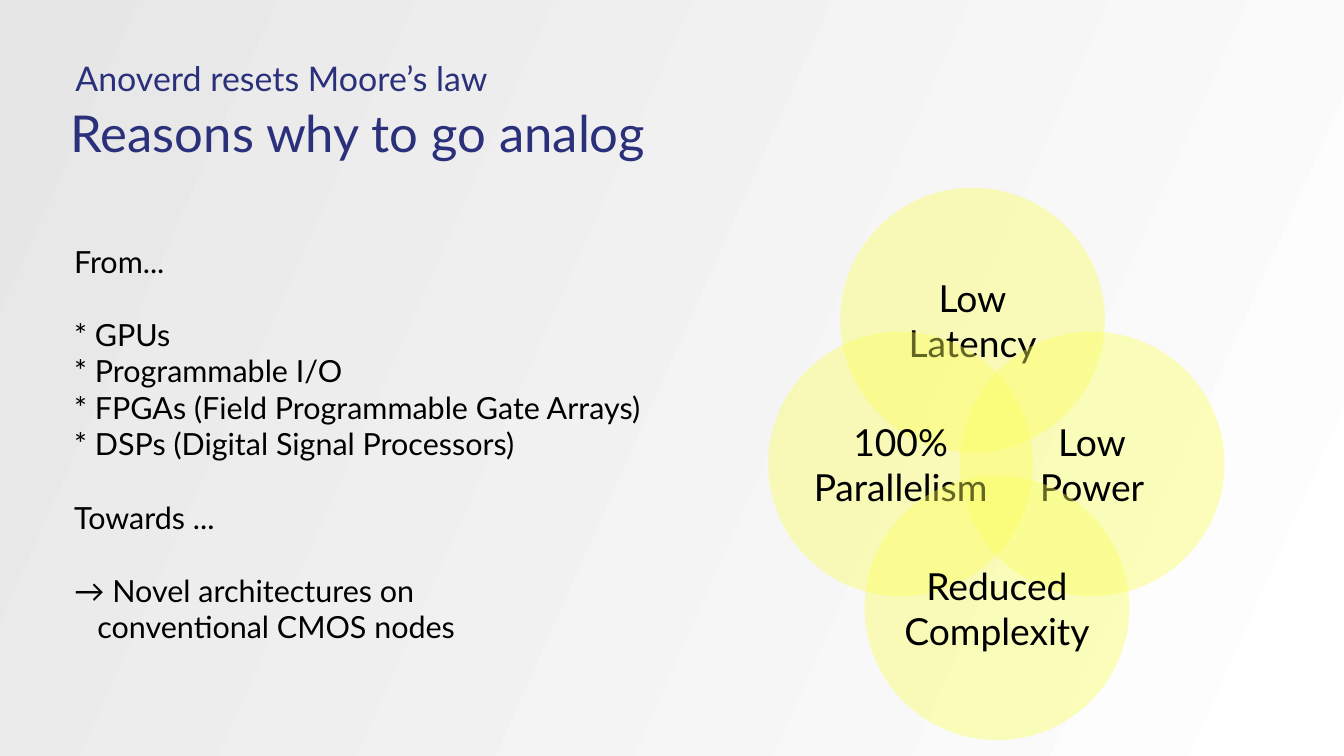
from lxml import etree
from pptx import Presentation
from pptx.dml.color import RGBColor
from pptx.enum.shapes import MSO_SHAPE
from pptx.enum.text import MSO_ANCHOR, PP_ALIGN
from pptx.oxml.ns import qn
from pptx.util import Inches, Pt

OVAL = MSO_SHAPE.OVAL
TOP, MIDDLE = MSO_ANCHOR.TOP, MSO_ANCHOR.MIDDLE
LEFT, CENTER = PP_ALIGN.LEFT, PP_ALIGN.CENTER

WIDTH, HEIGHT = 11.02, 6.2
FONT = "Lato"
NAVY, BLACK, YELLOW = "2B307B", "000000", "FCFF5A"
BACKGROUND = [("FFFFFF", 0.01), ("E6E6E6", 1)]

KICKER = "Anoverd resets Moore’s law"
TITLE = "Reasons why to go analog"
SECTIONS = [
    ["From..."],
    [
        "* GPUs",
        "* Programmable I/O",
        "* FPGAs (Field Programmable Gate Arrays)",
        "* DSPs (Digital Signal Processors)",
    ],
    ["Towards ..."],
    ["→ Novel architectures on", "conventional CMOS nodes"],
]
HANGING_LINE = "conventional CMOS nodes"
HANGING_INDENT = 0.19
SECTION_GAP = 21.6

DIAMETER = 2.17
VENN_LEFT, VENN_TOP, ROW_STEP = 6.3, 1.54, 1.18
CIRCLES = [
    (("Low", "Latency"), 0.59, 0),
    (("Low", "Power"), 1.57, 1),
    (("100%", "Parallelism"), 0, 1),
    (("Reduced", "Complexity"), 0.79, 2),
]


def color(value):
    return RGBColor.from_string(value)


def add_line(frame, text, size, ink, align=LEFT):
    para = frame.paragraphs[0]
    if para.runs:
        para = frame.add_paragraph()
    para.alignment = align
    span = para.add_run()
    span.text = text
    span.font.name = FONT
    span.font.size = Pt(size)
    span.font.color.rgb = color(ink)
    return para


def place(shape, left, top, width, height):
    shape.left, shape.top = Inches(left), Inches(top)
    shape.width, shape.height = Inches(width), Inches(height)


def add_box(page, left, top, width, height):
    box = page.shapes.add_textbox(*map(Inches, (left, top, width, height)))
    box.text_frame.word_wrap = True
    return box.text_frame


def paint_background(page):
    fill = page.background.fill
    fill.gradient()
    fill.gradient_angle = 156
    for stop, (tone, position) in zip(fill.gradient_stops, BACKGROUND):
        stop.color.rgb = color(tone)
        stop.position = position


def format_title(page):
    title = page.shapes.title
    place(title, 0.58, 0.64, 9.35, 0.56)
    frame = title.text_frame
    frame.margin_left = frame.margin_right = 0
    frame.margin_top = frame.margin_bottom = 0
    frame.vertical_anchor = TOP
    add_line(frame, TITLE, 30, NAVY).line_spacing = Pt(50)


def add_reasons(page):
    frame = add_box(page, 0.51, 1.94, 5.2, 3.84)
    for section_index, lines in enumerate(SECTIONS):
        for line_index, text in enumerate(lines):
            para = add_line(frame, text, 18, BLACK)
            if section_index and not line_index:
                para.space_before = Pt(SECTION_GAP)
            if text == HANGING_LINE:
                para._p.get_or_add_pPr().set("marL", str(Inches(HANGING_INDENT)))


def add_circle(page, words, offset, row):
    left, top = VENN_LEFT + offset, VENN_TOP + row * ROW_STEP
    circle = page.shapes.add_shape(
        OVAL, *map(Inches, (left, top, DIAMETER, DIAMETER))
    )
    circle.shadow.inherit = False
    circle.line.fill.background()
    circle.fill.solid()
    circle.fill.fore_color.rgb = color(YELLOW)
    tint = circle.fill._xPr.find(".//" + qn("a:srgbClr"))
    etree.SubElement(tint, qn("a:alpha")).set("val", "40000")
    frame = circle.text_frame
    frame.word_wrap = False
    frame.vertical_anchor = MIDDLE
    for word in words:
        add_line(frame, word, 22, BLACK, CENTER)


def main():
    deck = Presentation()
    deck.slide_width, deck.slide_height = Inches(WIDTH), Inches(HEIGHT)
    page = deck.slides.add_slide(deck.slide_layouts[5])
    paint_background(page)
    add_line(add_box(page, 0.52, 0.42, 6.37, 0.48), KICKER, 20, NAVY)
    format_title(page)
    for words, offset, row in CIRCLES:
        add_circle(page, words, offset, row)
    add_reasons(page)
    deck.save("out.pptx")


if __name__ == "__main__":
    main()
